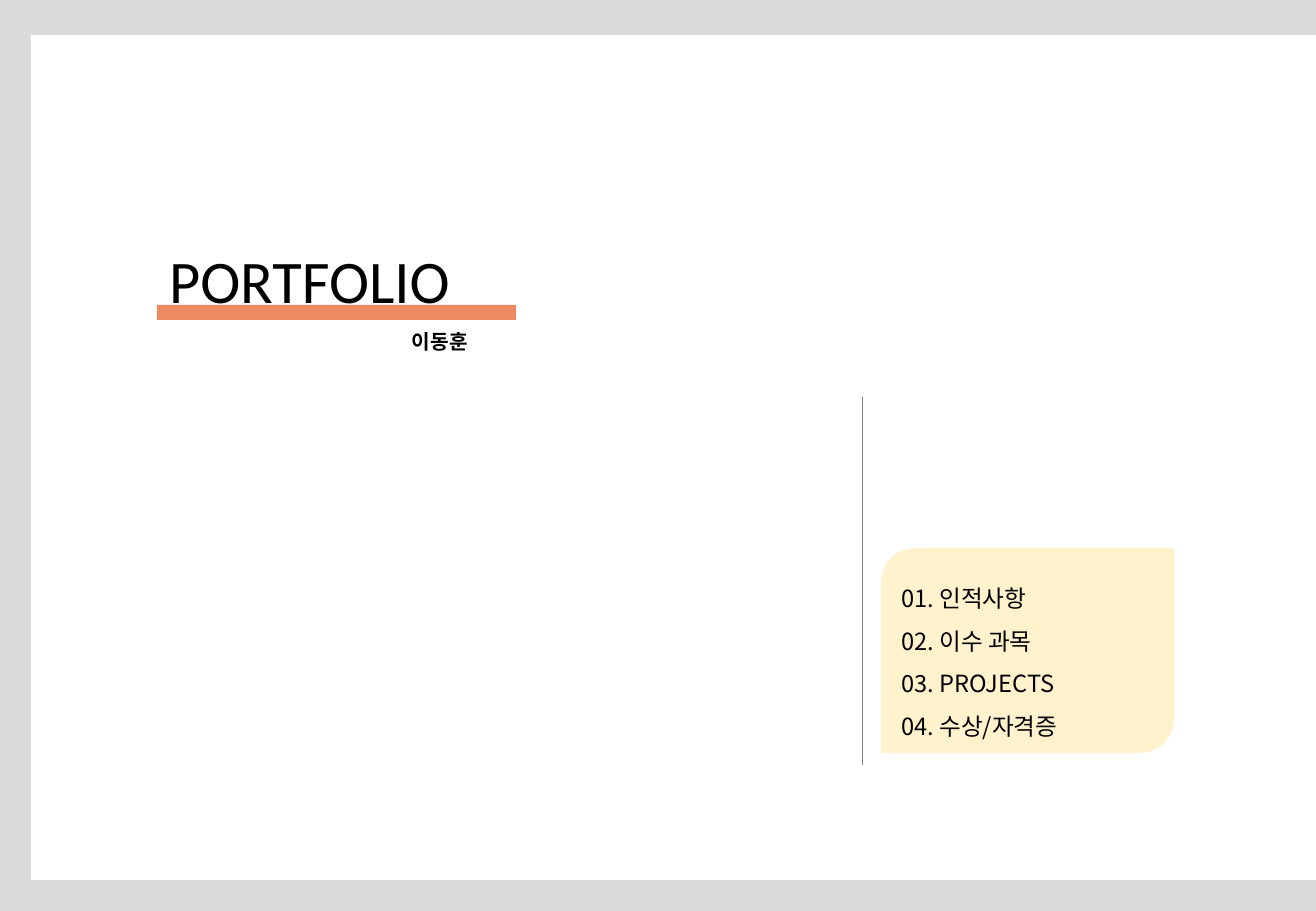
import pptx
import pptx.dml.color
import pptx.enum.shapes
import pptx.enum.text
import pptx.oxml.ns
import pptx.util
from lxml import etree

EMU_PER_PX = 914400 / 121.5
SLIDE_W, SLIDE_H = 1316, 911
COLORS = {
    "backdrop": "DBDBDB",
    "page": "FFFFFF",
    "contents": "FFF2CC",
    "underline": "EC8A62",
    "divider": "808080",
    "text": "000000",
}
KOREAN = "Noto Sans CJK KR"
SHAPES = pptx.enum.shapes.MSO_SHAPE


def px(length):
    return pptx.util.Emu(round(length * EMU_PER_PX))


def rgb(name):
    return pptx.dml.color.RGBColor.from_string(COLORS[name])


def place(shape, left, top, width, height):
    shape.left, shape.top = px(left), px(top)
    shape.width, shape.height = px(width), px(height)


def bring_to_front(shape):
    shape.element.getparent().append(shape.element)


def add_block(slide, kind, box, color):
    block = slide.shapes.add_shape(kind, *map(px, box))
    block.shadow.inherit = False
    block.fill.solid()
    block.fill.fore_color.rgb = rgb(color)
    block.line.fill.background()


def write(shape, lines, size, font=KOREAN, bold=False, wrap=False, spacing=1.0):
    frame = shape.text_frame
    frame.text = "\n".join(lines)
    frame.word_wrap = wrap
    frame.auto_size = pptx.enum.text.MSO_AUTO_SIZE.SHAPE_TO_FIT_TEXT
    frame.vertical_anchor = pptx.enum.text.MSO_ANCHOR.TOP
    for paragraph in frame.paragraphs:
        properties = paragraph._p.get_or_add_pPr()
        properties.set("marL", "0")
        properties.set("indent", "0")
        etree.SubElement(properties, pptx.oxml.ns.qn("a:buNone"))
        paragraph.alignment = pptx.enum.text.PP_ALIGN.LEFT
        paragraph.space_before = pptx.util.Pt(0)
        paragraph.line_spacing = spacing
        for run in paragraph.runs:
            run.font.size = pptx.util.Pt(size)
            run.font.name = font
            run.font.bold = bold
            run.font.color.rgb = rgb("text")
            east_asian = etree.Element(pptx.oxml.ns.qn("a:ea"), typeface=font)
            run.font._rPr.find(pptx.oxml.ns.qn("a:latin")).addnext(east_asian)


def add_heading(slide, left, top):
    add_block(slide, SHAPES.RECTANGLE, (left, top + 68, 359, 15), "underline")
    title = slide.shapes.title
    bring_to_front(title)
    place(title, left, top, 363, 85)
    write(title, ["PORTFOLIO"], 35.8, font="Calibri")
    author = slide.shapes.add_textbox(px(left + 243), px(top + 86), px(86), px(36))
    write(author, ["이동훈"], 12, bold=True)


def add_contents(slide, left, top, height):
    """Vertical divider with the list of sections on a panel to its right."""
    divider = slide.shapes.add_connector(
        pptx.enum.shapes.MSO_CONNECTOR.STRAIGHT,
        px(left), px(top), px(left), px(top + height))
    divider.line.color.rgb = rgb("divider")
    divider.line.width = pptx.util.Pt(0.5)
    etree.SubElement(divider.element.spPr, pptx.oxml.ns.qn("a:effectLst"))

    add_block(slide, SHAPES.ROUND_2_DIAG_RECTANGLE,
              (left + 19, top + 151, 293, 205), "contents")
    sections = slide.placeholders[1]
    bring_to_front(sections)
    place(sections, left + 27, top + 167, 277, 179)
    write(sections, ["01. 인적사항", "02. 이수 과목", "03. PROJECTS", "04. 수상/자격증"],
          14, wrap=True, spacing=1.5)


def build_cover(presentation):
    slide = presentation.slides.add_slide(presentation.slide_layouts[1])
    slide.background.fill.solid()
    slide.background.fill.fore_color.rgb = rgb("backdrop")
    add_block(slide, SHAPES.RECTANGLE, (31, 35, SLIDE_W - 31, 845), "page")
    add_heading(slide, 157, 237)
    add_contents(slide, 862, 397, 368)


def main():
    presentation = pptx.Presentation()
    presentation.slide_width, presentation.slide_height = px(SLIDE_W), px(SLIDE_H)
    build_cover(presentation)
    presentation.save("out.pptx")


if __name__ == "__main__":
    main()
